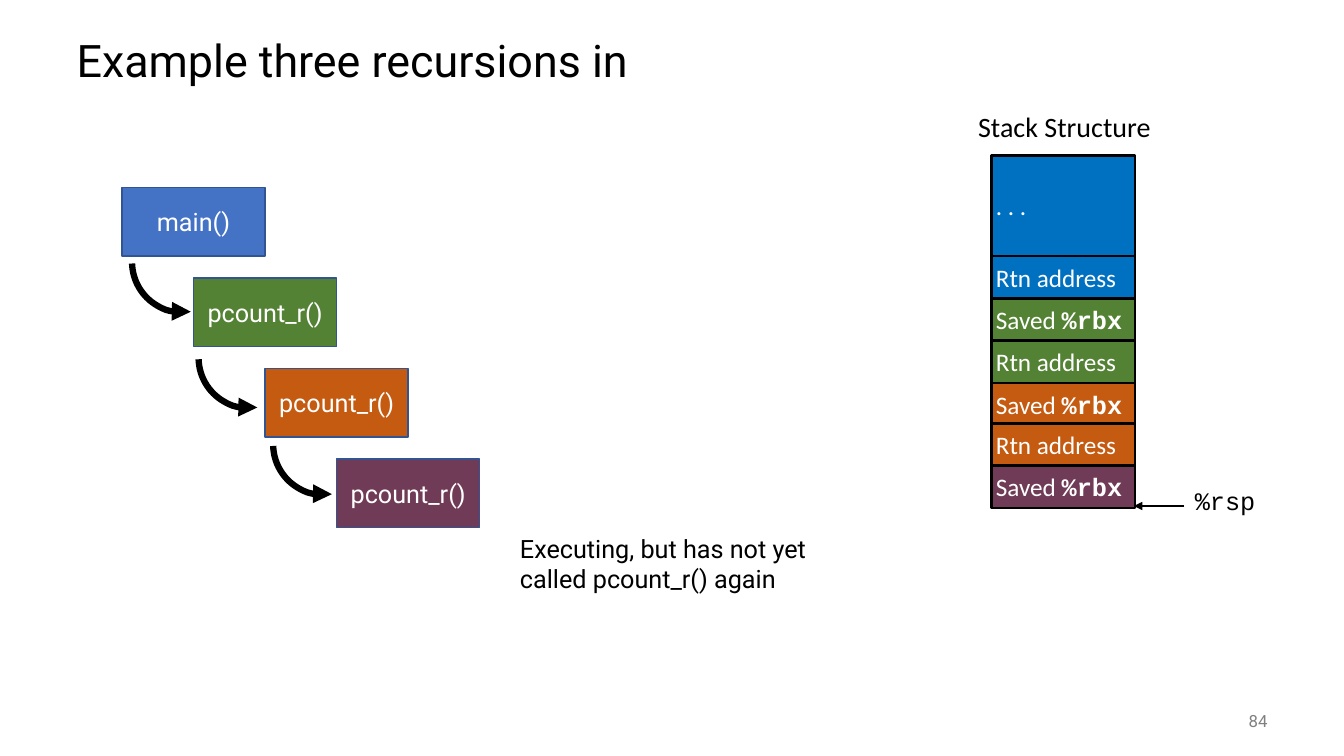
from dataclasses import dataclass

import lxml.etree
import pptx
import pptx.dml.color
import pptx.enum.shapes
import pptx.enum.text
import pptx.oxml.ns
import pptx.util

SHAPE = pptx.enum.shapes.MSO_SHAPE
ALIGN = pptx.enum.text.PP_ALIGN
ANCHOR = pptx.enum.text.MSO_ANCHOR
AUTO = pptx.enum.text.MSO_AUTO_SIZE

WIDTH, HEIGHT = pptx.util.Inches(13.33), pptx.util.Inches(7.5)
COLUMN, ROW = WIDTH / 40, HEIGHT / 30
BLACK, WHITE, GREY = "000000", "FFFFFF", "808080"
BLUE, GREEN, ORANGE, PLUM = "0070C0", "548235", "C55A11", "703B56"
CALL_BLUE, CALL_EDGE = "4472C4", "325491"
TIGHT = 0.04
BOX_COLUMNS = 4.26


@dataclass
class Run:
    text: str
    size: float = 18
    font: str = "Roboto"
    color: str = BLACK
    bold: bool = False


@dataclass
class Frame:
    """A place on the slide, in grid columns and rows."""
    left: float
    top: float
    width: float
    height: float

    def emu(self) -> tuple[int, int, int, int]:
        return (round(self.left * COLUMN), round(self.top * ROW),
                round(self.width * COLUMN), round(self.height * ROW))


@dataclass
class Call:
    name: str
    fill: str


@dataclass
class StackCell:
    fill: str
    runs: list[Run]
    rows: float = 1.68
    overlap: float = 0


@dataclass
class Label:
    frame: Frame
    run: Run
    align: ALIGN = ALIGN.LEFT
    anchor: ANCHOR = ANCHOR.TOP
    inset: float | None = None
    wrap: bool = True


def rgb(color: str) -> pptx.dml.color.RGBColor:
    return pptx.dml.color.RGBColor.from_string(color)


def write(sp, runs: list[Run], align=ALIGN.LEFT, anchor=ANCHOR.MIDDLE,
          inset: float | None = None, wrap: bool = True):
    tf = sp.text_frame
    tf.word_wrap = wrap
    tf.vertical_anchor = anchor
    if inset is not None:
        tf.margin_left = tf.margin_right = pptx.util.Inches(inset)
        tf.margin_top = tf.margin_bottom = pptx.util.Inches(inset)
    p = tf.paragraphs[0]
    p.alignment = align
    for run in runs:
        r = p.add_run()
        r.text = run.text
        r.font.size = pptx.util.Pt(run.size)
        r.font.name = run.font
        r.font.bold = run.bold
        r.font.color.rgb = rgb(run.color)
    return p


def set_line(sp, color: str, points: float, arrow_end: str = "") -> None:
    sp.line.color.rgb = rgb(color)
    sp.line.width = pptx.util.Pt(points)
    if arrow_end:
        ln = sp.line._get_or_add_ln()
        lxml.etree.SubElement(ln, pptx.oxml.ns.qn(f"a:{arrow_end}"), type="triangle")


def add_box(s, frame: Frame, fill: str, edge: str, points: float):
    sp = s.shapes.add_shape(SHAPE.RECTANGLE, *frame.emu())
    sp.shadow.inherit = False
    sp.fill.solid()
    sp.fill.fore_color.rgb = rgb(fill)
    set_line(sp, edge, points)
    return sp


def add_title(s, text: str) -> None:
    sp = s.shapes.title
    sp.left, sp.top, sp.width, sp.height = Frame(1.98, 1, 36, 3).emu()
    p = write(sp, [Run(text, 32)])
    p.line_spacing = 0.9
    sp.text_frame.auto_size = AUTO.NONE


def add_calls(s, calls: list[Call]) -> None:
    """Boxes stepping down and right, half a box width at a time."""
    for i, call in enumerate(calls):
        frame = Frame(3.63 + i * BOX_COLUMNS / 2, 7.44 + i * 3.59, BOX_COLUMNS, 2.72)
        sp = add_box(s, frame, call.fill, CALL_EDGE, 1)
        write(sp, [Run(call.name, color=WHITE)], ALIGN.CENTER)


def add_call_arrow(s, left: float, top: float) -> None:
    sp = s.shapes.add_shape(SHAPE.ARC, *Frame(left, top, 3, 4).emu())
    sp.shadow.inherit = False
    sp.fill.background()
    sp.adjustments[0], sp.adjustments[1] = 48.3, 106.97
    set_line(sp, BLACK, 4.5, "headEnd")


def add_stack(s, cells: list[StackCell]) -> None:
    top = 6.16
    for cell in cells:
        top -= cell.overlap
        sp = add_box(s, Frame(29.52, top, BOX_COLUMNS, cell.rows), cell.fill, BLACK, 2)
        write(sp, cell.runs, inset=TIGHT)
        top += cell.rows


def add_pointer(s) -> None:
    start_x, y, end_x, _ = Frame(35.25, 20.08, 33.75, 0).emu()
    line = s.shapes.add_connector(pptx.enum.shapes.MSO_CONNECTOR.STRAIGHT,
                                  start_x, y, end_x, y)
    set_line(line, BLACK, 2, "tailEnd")
    lxml.etree.SubElement(line._element.spPr, pptx.oxml.ns.qn("a:effectLst"))


def add_label(s, label: Label) -> None:
    sp = s.shapes.add_textbox(*label.frame.emu())
    write(sp, [label.run], label.align, label.anchor, label.inset, label.wrap)


def stack_text(text: str) -> Run:
    return Run(text, font="Calibri", color=WHITE)


RETURN = [stack_text("Rtn address")]
SAVED = [stack_text("Saved "), Run("%rbx", font="Courier New", color=WHITE, bold=True)]

CALLS = [Call("main()", CALL_BLUE)]
CALLS += [Call("pcount_r()", fill) for fill in (GREEN, ORANGE, PLUM)]
CALL_ARROWS = [(3.93, 8.4), (5.91, 12.2), (8.13, 15.64)]
STACK = [
    StackCell(BLUE, [stack_text(". . .")], rows=4),
    StackCell(BLUE, RETURN),
    StackCell(GREEN, SAVED),
    StackCell(GREEN, RETURN),
    StackCell(ORANGE, SAVED),
    StackCell(ORANGE, RETURN, overlap=0.08),
    StackCell(PLUM, SAVED),
]
LABELS = [
    Label(Frame(35.02, 27.8, 3, 1.6), Run("84", 12, color=GREY), ALIGN.RIGHT, ANCHOR.MIDDLE),
    Label(Frame(35.44, 19.08, 2.07, 1.56), Run("%rsp", font="Courier New"),
          inset=TIGHT, wrap=False),
    Label(Frame(15.18, 20.96, 9.84, 2.84),
          Run("Executing, but has not yet called pcount_r() again")),
    Label(Frame(28.99, 4.2, 5.55, 1.68), Run("Stack Structure", 20, "Calibri"),
          inset=TIGHT, wrap=False),
]


def main() -> None:
    prs = pptx.Presentation()
    prs.slide_width, prs.slide_height = WIDTH, HEIGHT
    s = prs.slides.add_slide(prs.slide_layouts.get_by_name("Title Only"))
    add_title(s, "Example three recursions in")
    add_stack(s, STACK)
    add_pointer(s)
    add_calls(s, CALLS)
    for left, top in CALL_ARROWS:
        add_call_arrow(s, left, top)
    for label in LABELS:
        add_label(s, label)
    prs.save("out.pptx")


if __name__ == "__main__":
    main()
